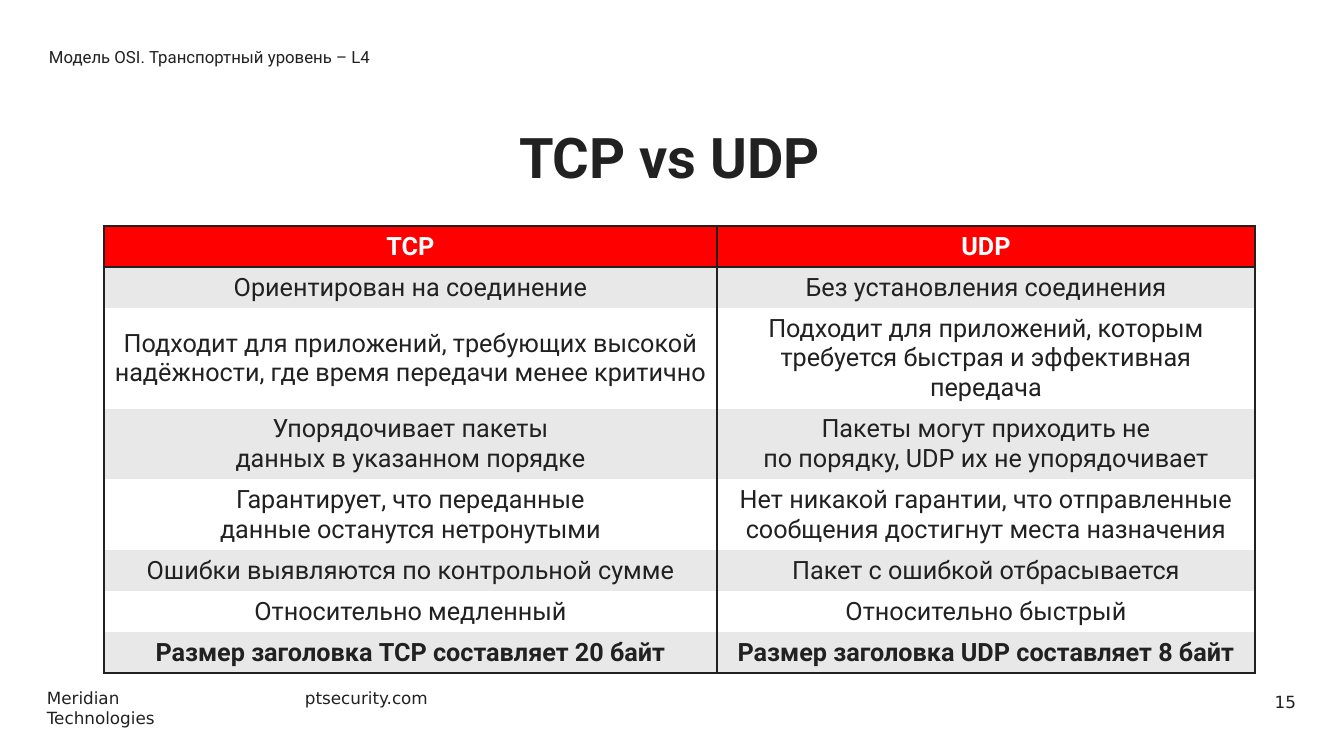
from lxml import etree
from pptx import Presentation
from pptx.dml.color import RGBColor
from pptx.enum.text import MSO_ANCHOR, PP_ALIGN
from pptx.oxml.ns import qn
from pptx.util import Emu, Pt

LEFT, CENTER, RIGHT = PP_ALIGN.LEFT, PP_ALIGN.CENTER, PP_ALIGN.RIGHT
TOP, MIDDLE = MSO_ANCHOR.TOP, MSO_ANCHOR.MIDDLE
TITLE_ONLY = 5
EMU_PER_PX = 914400 / 100.8

COLORS = {"ink": "212121", "header": "FF0000", "band": "E8E8E8", "white": "FFFFFF"}
SMALL = {"name": "DejaVu Sans", "size": Pt(12), "bold": False}
SECTION = {"name": "Roboto", "size": Pt(12), "bold": False}
HEADING = {"name": "Roboto", "size": Pt(40), "bold": True}
BODY = {"name": "Roboto", "size": Pt(18), "bold": False}
STRONG = {**BODY, "bold": True}

SLIDE_SIZE = (1344, 756)
TITLE = ("TCP vs UDP", (509, 117, 411, 121))
# text, (left, top, width, height), font, alignment, anchor, wrap
LABELS = [
    ("Модель OSI. Транспортный уровень – L4", (39, 37, 1041, 40), SECTION, LEFT, MIDDLE, True),
    ("Meridian Technologies", (37, 683, 200, 30), SMALL, LEFT, TOP, False),
    ("ptsecurity.com", (295, 683, 145, 30), SMALL, LEFT, TOP, False),
    ("15", (1081, 682, 225, 40), SMALL, RIGHT, MIDDLE, True),
]
TABLE_AT = (104, 226)
COLUMN_WIDTHS = (613, 538)
ROW_HEIGHT = 41
ROWS = [
    ("TCP", "UDP"),
    ("Ориентирован на соединение", "Без установления соединения"),
    ("Подходит для приложений, требующих высокой надёжности, где время передачи менее критично",
     "Подходит для приложений, которым требуется быстрая и эффективная передача"),
    ("Упорядочивает пакеты\vданных в указанном порядке",
     "Пакеты могут приходить не\vпо порядку, UDP их не упорядочивает"),
    ("Гарантирует, что переданные\vданные останутся нетронутыми",
     "Нет никакой гарантии, что отправленные сообщения достигнут места назначения"),
    ("Ошибки выявляются по контрольной сумме", "Пакет с ошибкой отбрасывается"),
    ("Относительно медленный", "Относительно быстрый"),
    ("Размер заголовка TCP составляет 20 байт", "Размер заголовка UDP составляет 8 байт"),
]


def px(length):
    return Emu(round(length * EMU_PER_PX))


def write(frame, text, font, color, align, anchor):
    frame.text = text
    frame.vertical_anchor = anchor
    para = frame.paragraphs[0]
    para.alignment = align
    for span in para.runs:
        for name, value in font.items():
            setattr(span.font, name, value)
        span.font.color.rgb = RGBColor.from_string(COLORS[color])
    return para


def set_borders(cell, widths):
    """Draw the left, right, top and bottom borders; a width of 0 means none."""
    properties = cell._tc.get_or_add_tcPr()
    for position, (side, width) in enumerate(zip("LRTB", widths)):
        line = etree.Element(qn(f"a:ln{side}"), w=str(Pt(width)))
        if width:
            fill = etree.SubElement(line, qn("a:solidFill"))
            etree.SubElement(fill, qn("a:srgbClr"), val=COLORS["ink"])
        else:
            etree.SubElement(line, qn("a:noFill"))
        properties.insert(position, line)


def add_title(slide):
    text, bounds = TITLE
    title = slide.shapes.title
    title.left, title.top, title.width, title.height = map(px, bounds)
    para = write(title.text_frame, text, HEADING, "ink", LEFT, TOP)
    para.line_spacing = Pt(48)


def add_labels(slide):
    for text, bounds, font, align, anchor, wrap in LABELS:
        box = slide.shapes.add_textbox(*map(px, bounds))
        box.text_frame.word_wrap = wrap
        write(box.text_frame, text, font, "ink", align, anchor)


def add_comparison(slide):
    last = len(ROWS) - 1
    size = (sum(COLUMN_WIDTHS), ROW_HEIGHT * len(ROWS))
    table = slide.shapes.add_table(
        len(ROWS), len(COLUMN_WIDTHS), *map(px, TABLE_AT + size)).table
    for column, width in zip(table.columns, COLUMN_WIDTHS):
        column.width = px(width)
    for r, texts in enumerate(ROWS):
        table.rows[r].height = px(ROW_HEIGHT)
        fill = "header" if r == 0 else "band" if r % 2 else "white"
        font = STRONG if r in (0, last) else BODY
        above = 2 if r in (0, 1) else 0
        below = 2 if r in (0, last) else 0
        for c, text in enumerate(texts):
            cell = table.cell(r, c)
            write(cell.text_frame, text, font, "ink" if r else "white", CENTER, None)
            cell.vertical_anchor = MIDDLE
            cell.fill.solid()
            cell.fill.fore_color.rgb = RGBColor.from_string(COLORS[fill])
            set_borders(cell, (1, 1, above, below))


def main():
    deck = Presentation()
    deck.slide_width, deck.slide_height = map(px, SLIDE_SIZE)
    slide = deck.slides.add_slide(deck.slide_layouts[TITLE_ONLY])
    add_title(slide)
    add_labels(slide)
    add_comparison(slide)
    deck.save("out.pptx")


if __name__ == "__main__":
    main()
